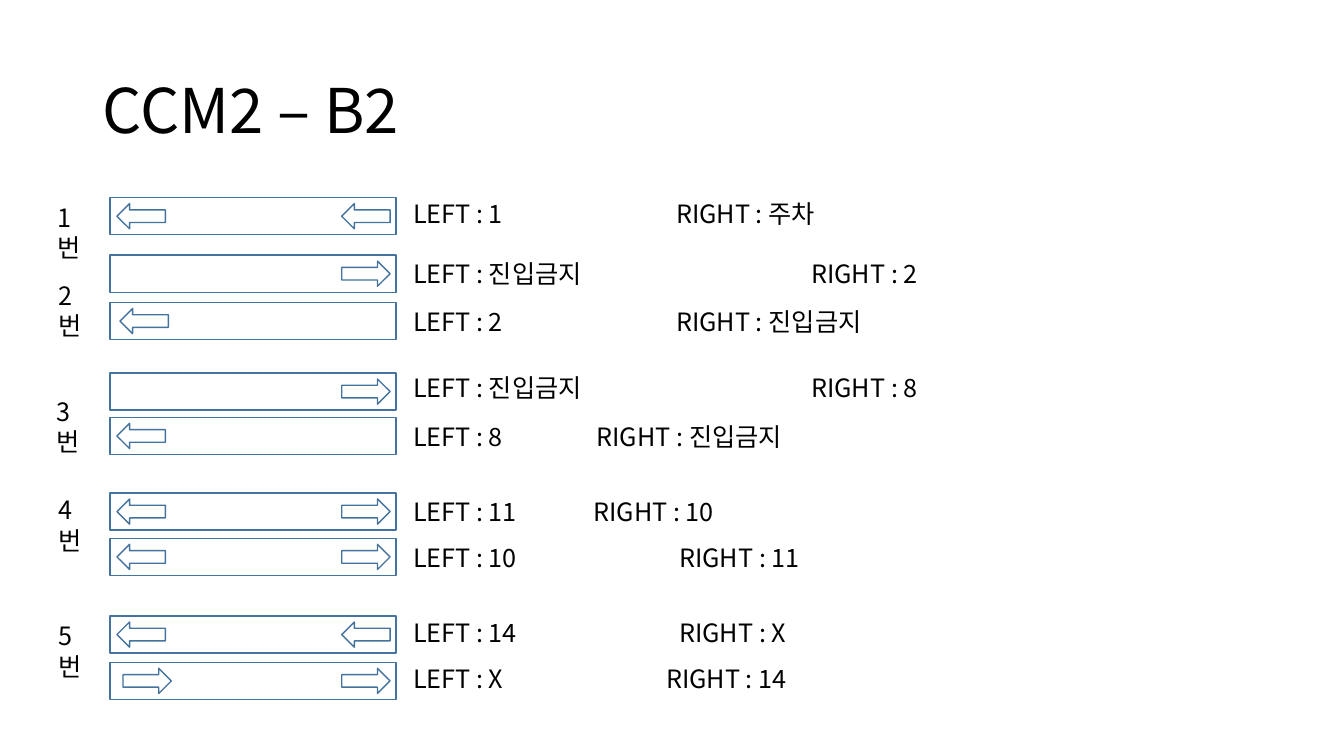
from collections import namedtuple

from lxml import etree
from pptx import Presentation
from pptx.enum import shapes, text
from pptx.oxml import ns
from pptx.dml import color

PX = 9144
FONT = "Noto Sans CJK KR"
COLORS = {"ink": "000000", "outline": "43739E"}

Sign = namedtuple("Sign", "top left_arrow left_inset right_arrow text_top left right tab")

SIGNS = [
    Sign(196, "left", 7, "left", 192, "1", "주차", 261),
    Sign(253, None, 0, "right", 251, "진입금지", "2", 395),
    Sign(300, "left", 10, None, 299, "2", "진입금지", 261),
    Sign(370, None, 0, "right", 364, "진입금지", "8", 395),
    Sign(414, "left", 7, None, 413, "8", "진입금지", 182),
    Sign(489, "left", 7, "right", 487, "11", "10", 179),
    Sign(534, "left", 7, "right", 533, "10", "11", 264),
    Sign(611, "left", 7, "left", 608, "14", "X", 264),
    Sign(657, "right", 13, "right", 653, "X", "14", 251),
]
NUMBERS = [(47, 196), (48, 273), (46, 388), (48, 486), (48, 611)]


def px(*lengths):
    return [length * PX for length in lengths]


def write(shape, words, size=18, line_spacing=None, tab=None, anchor=text.MSO_ANCHOR.TOP):
    frame = shape.text_frame
    frame.word_wrap = True
    frame.auto_size = text.MSO_AUTO_SIZE.NONE
    frame.vertical_anchor = anchor
    para = frame.paragraphs[0]
    para.alignment = text.PP_ALIGN.LEFT
    if line_spacing:
        para.line_spacing = line_spacing
    if tab:
        stops = etree.SubElement(para._p.get_or_add_pPr(), ns.qn("a:tabLst"))
        etree.SubElement(stops, ns.qn("a:tab"), pos=str(tab * PX), algn="l")
    span = para.add_run()
    span.text = words
    span.font.size = size * 12700
    span.font.color.rgb = color.RGBColor.from_string(COLORS["ink"])
    span.font.name = FONT
    etree.SubElement(span._r.get_or_add_rPr(), ns.qn("a:ea"), typeface=FONT)


def add_outline(page, kind, box):
    shape = page.shapes.add_shape(kind, *px(*box))
    shape.shadow.inherit = False
    shape.fill.background()
    shape.line.color.rgb = color.RGBColor.from_string(COLORS["outline"])
    shape.line.width = 12700
    return shape


def add_arrow(page, box, direction):
    if direction:
        arrow = add_outline(page, shapes.MSO_SHAPE.RIGHT_ARROW, box)
        arrow.rotation = 180 if direction == "left" else 0


def add_title(page, box):
    title = page.shapes.title
    title.left, title.top, title.width, title.height = px(*box)
    write(title, "CCM2 – B2", size=44, line_spacing=0.9, anchor=text.MSO_ANCHOR.MIDDLE)


def add_sign(page, sign, box):
    left, top, width, height = box
    add_outline(page, shapes.MSO_SHAPE.RECTANGLE, box)
    add_arrow(page, (left + sign.left_inset, top + 6, 48, 25), sign.left_arrow)
    add_arrow(page, (left + width - 54, top + 6, 48, 25), sign.right_arrow)
    caption = page.shapes.add_textbox(*px(left + width + 7, sign.text_top, 582, 40))
    write(caption, f"LEFT : {sign.left}\tRIGHT : {sign.right}", tab=sign.tab)


def add_number(page, number, box):
    write(page.shapes.add_textbox(*px(*box)), f"{number}번")


def main():
    deck = Presentation()
    deck.slide_width, deck.slide_height = 12192000, 6858000
    page = deck.slides.add_slide(deck.slide_layouts[5])
    add_title(page, (92, 40, 1150, 145))
    for sign in SIGNS:
        add_sign(page, sign, (109, sign.top, 284, 37))
    for number, (left, top) in enumerate(NUMBERS, 1):
        add_number(page, number, (left, top, 50, 70))
    deck.save("out.pptx")


if __name__ == "__main__":
    main()
